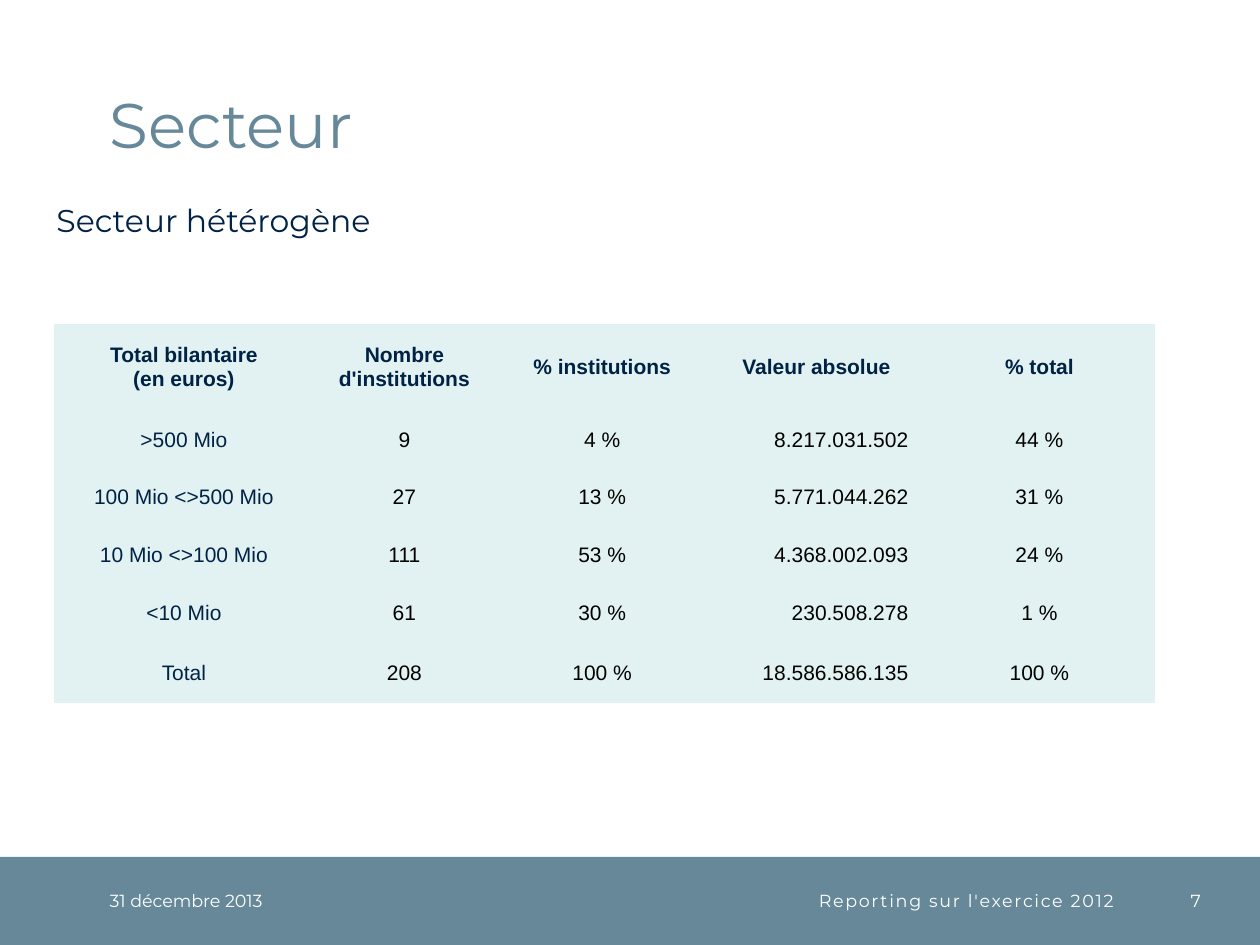
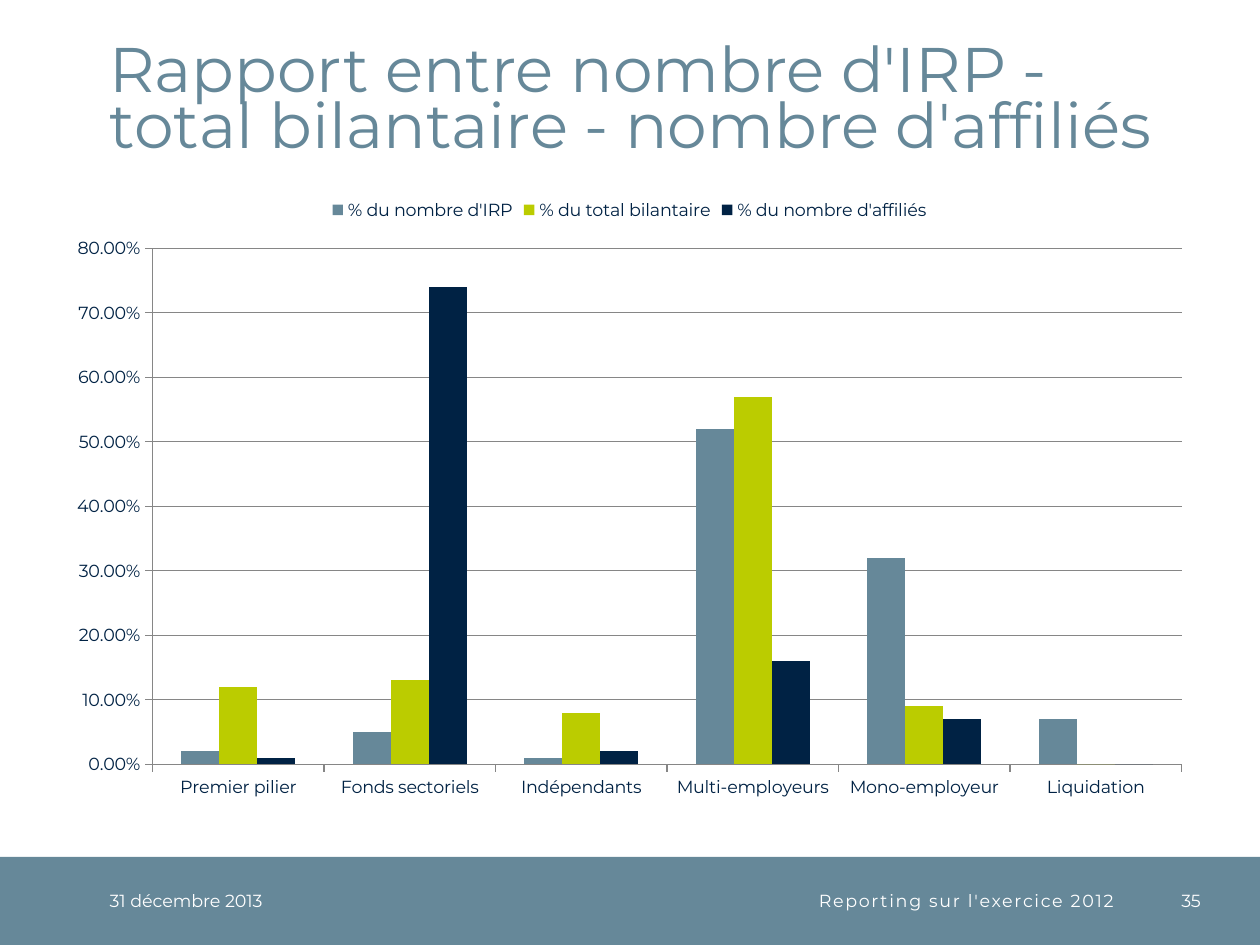
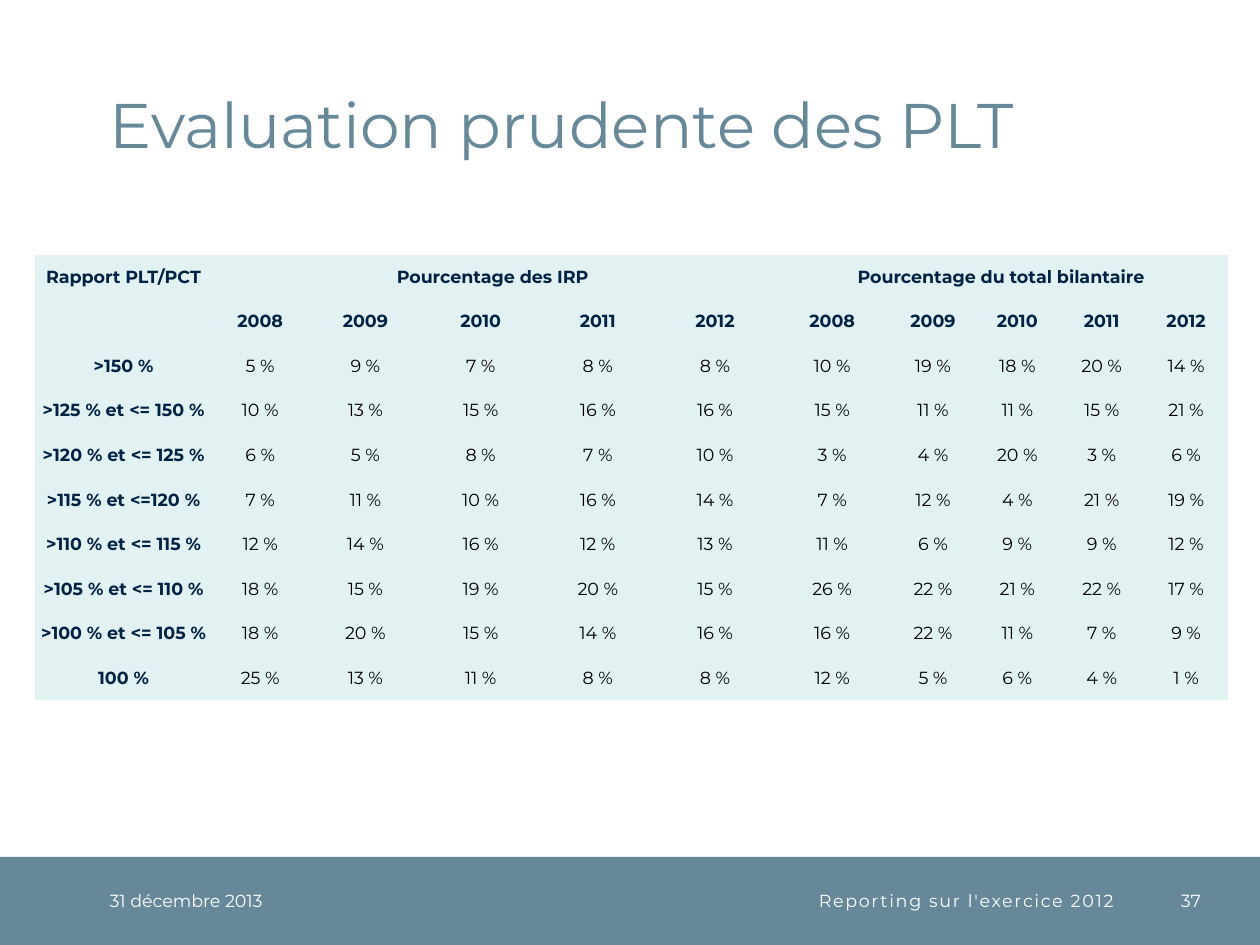
from pptx import Presentation
from pptx.chart.data import CategoryChartData
from pptx.dml.color import RGBColor
from pptx.enum.chart import XL_CHART_TYPE, XL_LEGEND_POSITION, XL_TICK_MARK
from pptx.enum.shapes import MSO_SHAPE
from pptx.enum.text import MSO_ANCHOR, MSO_AUTO_SIZE, PP_ALIGN
from pptx.oxml.ns import qn
from pptx.util import Inches, Pt

STEEL, NAVY, LIME = "668899", "002244", "BBCC00"
PALE, GREY, WHITE, BLACK = "E2F2F2", "868686", "FFFFFF", "000000"
FONT = "Montserrat"
NO_STYLE = "{2D5ABB26-0587-4C30-8999-92F81FD0307C}"
LEFT, CENTER, RIGHT = PP_ALIGN.LEFT, PP_ALIGN.CENTER, PP_ALIGN.RIGHT
BAND_TOP, BAND_HEIGHT = 6.8, 0.7
DATE = "31 décembre 2013"
REPORT = "Reporting sur l'exercice 2012"

SECTOR_ROWS = [
    ["Total bilantaire\n(en euros)", "Nombre d'institutions", "% institutions",
     "Valeur absolue", "% total"],
    [">500 Mio", "9", "4 %", "8.217.031.502", "44 %"],
    ["100 Mio <>500 Mio", "27", "13 %", "5.771.044.262", "31 %"],
    ["10 Mio <>100 Mio", "111", "53 %", "4.368.002.093", "24 %"],
    ["<10 Mio", "61", "30 %", "230.508.278", "1 %"],
    ["Total", "208", "100 %", "18.586.586.135", "100 %"],
]

CATEGORIES = ["Premier pilier", "Fonds sectoriels", "Indépendants",
              "Multi-employeurs", "Mono-employeur", "Liquidation"]
SERIES = [
    ("% du nombre d'IRP", STEEL, [0.02, 0.05, 0.01, 0.52, 0.32, 0.07]),
    ("% du total bilantaire", LIME, [0.12, 0.13, 0.08, 0.57, 0.09, 0]),
    ("% du nombre d'affiliés", NAVY, [0.01, 0.74, 0.02, 0.16, 0.07, 0]),
]

YEARS = ["2008", "2009", "2010", "2011", "2012"]
RATIOS = {
    ">150 %": [5, 9, 7, 8, 8, 10, 19, 18, 20, 14],
    ">125 % et <= 150 %": [10, 13, 15, 16, 16, 15, 11, 11, 15, 21],
    ">120 % et <= 125 %": [6, 5, 8, 7, 10, 3, 4, 20, 3, 6],
    ">115 % et <=120 %": [7, 11, 10, 16, 14, 7, 12, 4, 21, 19],
    ">110 % et <= 115 %": [12, 14, 16, 12, 13, 11, 6, 9, 9, 12],
    ">105 % et <= 110 %": [18, 15, 19, 20, 15, 26, 22, 21, 22, 17],
    ">100 % et <= 105 %": [18, 20, 15, 14, 16, 16, 22, 11, 7, 9],
    "100 %": [25, 13, 11, 8, 8, 12, 5, 6, 4, 1],
}


def rgb(color):
    return RGBColor.from_string(color)


def paint(fill, color):
    fill.solid()
    fill.fore_color.rgb = rgb(color)


def set_margins(frame, right=0):
    """Remove the inner margins of a text frame or cell, except the right one."""
    frame.margin_left = frame.margin_top = frame.margin_bottom = 0
    frame.margin_right = Inches(right)


def write(tf, text, size=10, color=NAVY, font=FONT, bold=False, align=LEFT,
          leading=None, tracking=None):
    """Fill a text frame, one paragraph per line of text."""
    for i, line in enumerate(text.split("\n")):
        p = tf.add_paragraph() if i else tf.paragraphs[0]
        p.alignment = align
        if leading:
            p.line_spacing = Pt(leading)
        r = p.add_run()
        r.text = line
        r.font.name, r.font.size, r.font.bold = font, Pt(size), bold
        r.font.color.rgb = rgb(color)
        if tracking:
            r.font._element.set("spc", str(tracking * 100))


def add_text(slide, text, left, top, width, height, **fmt):
    sp = slide.shapes.add_textbox(*map(Inches, (left, top, width, height)))
    sp.text_frame.word_wrap = True
    write(sp.text_frame, text, **fmt)
    return sp.text_frame


def add_footer(slide, text, left, width, **fmt):
    tf = add_text(slide, text, left, BAND_TOP, width, BAND_HEIGHT, color=WHITE, **fmt)
    set_margins(tf)
    tf.vertical_anchor = MSO_ANCHOR.MIDDLE


def add_band(slide):
    """Put the bottom band on the layout, in place of its footer placeholders."""
    layout = slide.slide_layout
    for ph in list(layout.placeholders)[1:]:
        ph.element.getparent().remove(ph.element)
    band = slide.shapes.add_shape(MSO_SHAPE.RECTANGLE, 0, Inches(BAND_TOP),
                                  Inches(10), Inches(BAND_HEIGHT))
    band.shadow.inherit = False
    paint(band.fill, STEEL)
    band.line.fill.background()
    layout.shapes.element.append(band.element)


def add_slide(prs, title, number):
    slide = prs.slides.add_slide(prs.slide_layouts[5])
    sp = slide.shapes.title
    sp.left, sp.top, sp.width, sp.height = map(Inches, (0.87, 0.2, 8.63, 1.08))
    tf = sp.text_frame
    tf.word_wrap, tf.auto_size = True, MSO_AUTO_SIZE.NONE
    tf.vertical_anchor = MSO_ANCHOR.BOTTOM
    set_margins(tf)
    write(tf, title, size=36, color=STEEL, leading=32)
    add_footer(slide, DATE, 0.87, 1.77)
    add_footer(slide, REPORT, 2.64, 6.2, align=RIGHT, tracking=1)
    add_footer(slide, str(number), 9.04, 0.49, align=RIGHT)
    return slide


def add_table(slide, rows, left, top, widths, heights, header_rows=1,
              bold_labels=False, right_column=None, **fmt):
    """Add a plain table; right_column is the one whose values align right."""
    frame = slide.shapes.add_table(len(rows), len(widths), Inches(left), Inches(top),
                                   Inches(sum(widths)), Inches(sum(heights)))
    table = frame.table
    table.first_row = table.horz_banding = False
    table._tbl.tblPr.find(qn("a:tableStyleId")).text = NO_STYLE
    for column, width in zip(table.columns, widths):
        column.width = Inches(width)
    for row, height in zip(table.rows, heights):
        row.height = Inches(height)
    for i, row in enumerate(rows):
        for j, text in enumerate(row):
            header, label = i < header_rows, j == 0
            to_right = j == right_column and not header
            cell = table.cell(i, j)
            paint(cell.fill, PALE)
            cell.vertical_anchor = MSO_ANCHOR.MIDDLE
            set_margins(cell, right=0.12 if to_right else 0)
            if text:
                write(cell.text_frame, text, color=NAVY if header or label else BLACK,
                      bold=header or (label and bold_labels),
                      align=RIGHT if to_right else CENTER, **fmt)
    return table


def style_axis(axis):
    axis.major_tick_mark = XL_TICK_MARK.OUTSIDE
    axis.minor_tick_mark = XL_TICK_MARK.NONE
    style_line(axis.format.line)


def style_line(line):
    line.color.rgb = rgb(GREY)
    line.width = Pt(0.75)


def add_column_chart(slide, left, top, width, height):
    data = CategoryChartData(number_format="0.00%")
    data.categories = CATEGORIES
    for name, _, values in SERIES:
        data.add_series(name, values)
    chart = slide.shapes.add_chart(XL_CHART_TYPE.COLUMN_CLUSTERED,
                                   *map(Inches, (left, top, width, height)), data).chart
    chart.has_title = False
    chart.font.name, chart.font.size = FONT, Pt(10)
    chart.font.color.rgb = rgb(NAVY)
    chart.has_legend = True
    chart.legend.position = XL_LEGEND_POSITION.TOP
    chart.legend.include_in_layout = False

    plot = chart.plots[0]
    plot.gap_width, plot.overlap, plot.vary_by_categories = 150, 0, False
    for series, (_, color, _) in zip(plot.series, SERIES):
        paint(series.format.fill, color)

    style_axis(chart.category_axis)
    axis = chart.value_axis
    style_axis(axis)
    axis.minimum_scale, axis.maximum_scale, axis.major_unit = 0, 0.8, 0.1
    axis.tick_labels.number_format = "0.00%"
    axis.tick_labels.number_format_is_linked = False
    axis.has_major_gridlines = True
    style_line(axis.major_gridlines.format.line)


def add_ratio_table(slide):
    blanks = [""] * (len(YEARS) - 1)
    rows = [
        ["Rapport PLT/PCT", "Pourcentage des IRP", *blanks,
         "Pourcentage du total bilantaire", *blanks],
        ["", *YEARS, *YEARS],
    ]
    rows += [[label, *(f"{v} %" for v in values)] for label, values in RATIOS.items()]
    widths = [1.4, 0.77, 0.9] + [0.93] * 4 + [0.67] * 4
    table = add_table(slide, rows, 0.28, 2.02, widths, [3.54 / len(rows)] * len(rows),
                      header_rows=2, bold_labels=True)
    for first in (1, 1 + len(YEARS)):
        table.cell(0, first).merge(table.cell(0, first + len(YEARS) - 1))


def main():
    prs = Presentation()
    prs.slide_width, prs.slide_height = Inches(10), Inches(7.5)

    sector = add_slide(prs, "Secteur", 7)
    add_band(sector)
    add_text(sector, "Secteur hétérogène", 0.35, 1.55, 3.23, 0.4, size=18)
    add_table(sector, SECTOR_ROWS, 0.43, 2.57, [2.06, 1.44, 1.7, 1.7, 1.84],
              [0.69] + [0.46] * 4 + [0.48], right_column=3, size=12, font="Arial")

    comparison = add_slide(
        prs, "Rapport entre nombre d'IRP - total bilantaire - nombre d'affiliés", 35)
    add_column_chart(comparison, 0.43, 1.47, 9.13, 4.96)

    add_ratio_table(add_slide(prs, "Evaluation prudente des PLT", 37))

    prs.save("out.pptx")


if __name__ == "__main__":
    main()
